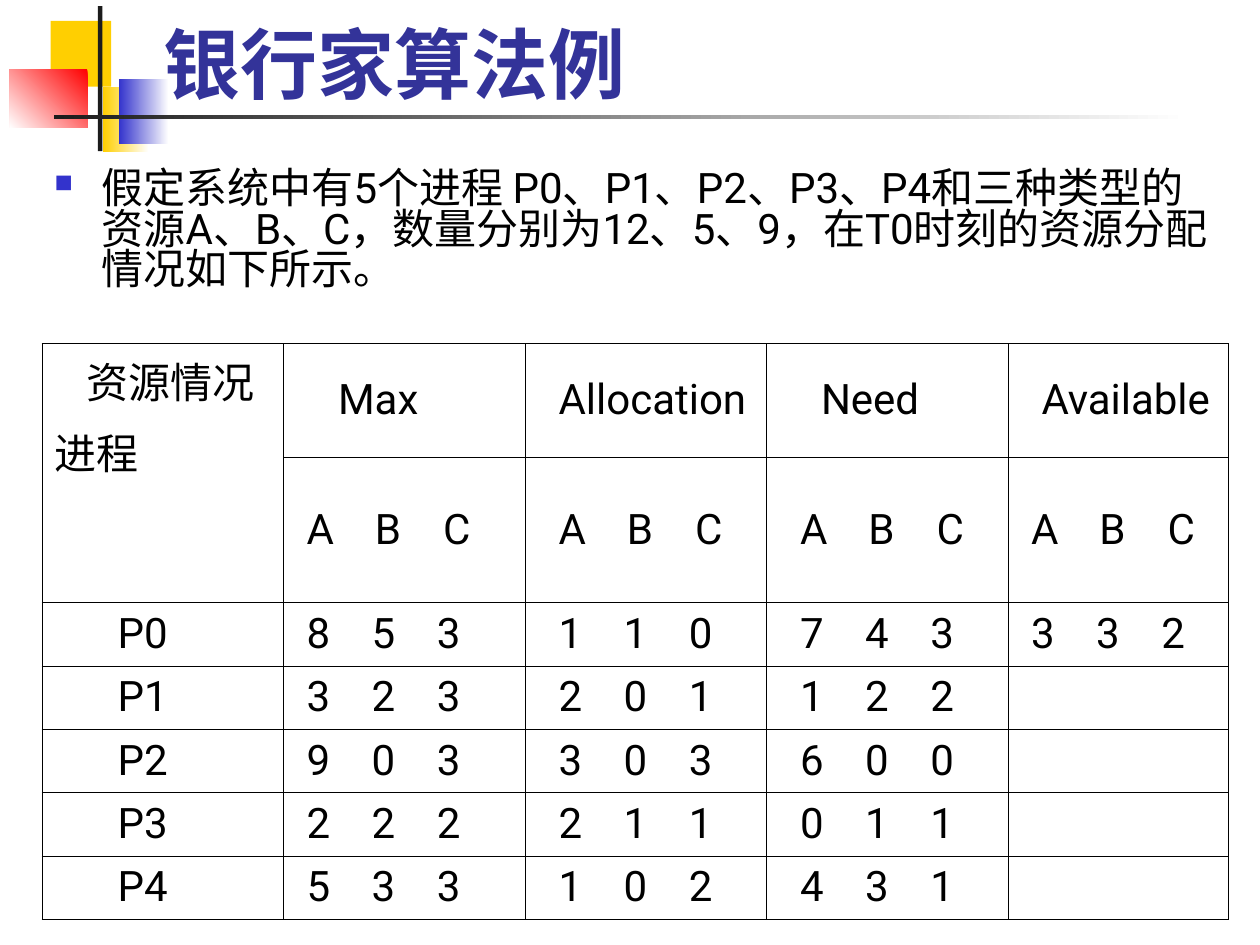
import pptx
import pptx.util
import pptx.dml.color
import pptx.enum.shapes
import pptx.enum.text
import pptx.oxml
import pptx.oxml.ns

Pt = pptx.util.Pt
Anchor = pptx.enum.text.MSO_ANCHOR
FONT = "Roboto"
NS = pptx.oxml.ns.nsdecls("a")

DECOR = [
    ((29, 12, 34.5, 37.5), ["FFCF01"], 0),
    ((59, 49.5, 26, 37.5), ["FFFFFF", "FFCF01"], 180),
    ((68, 45, 28.5, 37.5), ["FFFFFF", "3333CC"], 180),
    ((5.5, 39.5, 44.5, 33.5), ["FF0000", "FFFFFF"], 225),
    ((56, 3.5, 2.5, 83), ["1C1C1C"], 0),
    ((31, 65.5, 648, 2.5), ["FFFFFF", "1C1C1C"], 180),
]
INTRO = ("假定系统中有5个进程 P0、P1、P2、P3、P4和三种类型的资源A、B、C，"
         "数量分别为12、5、9，在T0时刻的资源分配情况如下所示。")
HEADS = ["Max", "Allocation", "Need", "Available"]
ROWS = [
    ["P0", "853", "110", "743", "332"],
    ["P1", "323", "201", "122", ""],
    ["P2", "903", "303", "600", ""],
    ["P3", "222", "211", "011", ""],
    ["P4", "533", "102", "431", ""],
]
WIDTHS = [138, 138, 138, 138, 126]
HIGHS = [65, 83] + [36.2] * 5
HEADPAD = [24, 12, 24, 12]
DATAPAD = [36, 6, 12, 12, 6]


def color(code):
    return pptx.dml.color.RGBColor.from_string(code)


def apply(item, form):
    for key, value in form.items():
        setattr(item, key, value)


def add_xml(node, text):
    node.append(pptx.oxml.parse_xml(text))


def write(para, text, size, code="000000", bold=False):
    run = para.add_run()
    run.text = text
    apply(run.font, {"size": Pt(size), "name": FONT, "bold": bold})
    run.font.color.rgb = color(code)


def draw_block(slide, box, codes, angle):
    kind = pptx.enum.shapes.MSO_SHAPE.RECTANGLE
    shape = slide.shapes.add_shape(kind, *map(Pt, box))
    shape.shadow.inherit = False
    shape.line.fill.background()
    if len(codes) == 1:
        shape.fill.solid()
        shape.fill.fore_color.rgb = color(codes[0])
        return
    shape.fill.gradient()
    shape.fill.gradient_angle = angle
    for stop, code in zip(shape.fill.gradient_stops, codes):
        stop.color.rgb = color(code)


def set_title(slide, text):
    title = slide.shapes.title
    apply(title, {"left": Pt(86.5), "top": Pt(12), "width": Pt(613), "height": Pt(54)})
    apply(title.text_frame, {"vertical_anchor": Anchor.BOTTOM, "word_wrap": True,
                             "auto_size": pptx.enum.text.MSO_AUTO_SIZE.NONE})
    para = title.text_frame.paragraphs[0]
    para.alignment = pptx.enum.text.PP_ALIGN.LEFT
    write(para, text, 44, "333399", True)


def add_intro(slide):
    box = slide.shapes.add_textbox(Pt(24), Pt(94.5), Pt(681), Pt(84))
    box.text_frame.word_wrap = True
    para = box.text_frame.paragraphs[0]
    para.line_spacing = 0.8
    prop = para._p.get_or_add_pPr()
    prop.set("marL", str(Pt(27)))
    prop.set("indent", str(-Pt(27)))
    add_xml(prop, f'<a:buClr {NS}><a:srgbClr val="3333CC"/></a:buClr>')
    add_xml(prop, f'<a:buSzPct {NS} val="60000"/>')
    add_xml(prop, f'<a:buChar {NS} char="■"/>')
    write(para, INTRO, 24)


def set_edges(cell):
    prop = cell._tc.get_or_add_tcPr()
    for side in "LRTB":
        add_xml(prop, f'<a:ln{side} {NS} w="{Pt(0.45)}"><a:solidFill>'
                      f'<a:srgbClr val="000000"/></a:solidFill></a:ln{side}>')
    cell.fill.background()


def fill_cell(cell, text, pad):
    apply(cell, {"margin_left": Pt(7.2 + pad), "vertical_anchor": Anchor.MIDDLE})
    write(cell.text_frame.paragraphs[0], text, 24)


def fill_trio(cell, trio, pad, step):
    prop = cell.text_frame.paragraphs[0]._p.get_or_add_pPr()
    stops = "".join(f'<a:tab pos="{Pt(step * n)}" algn="l"/>' for n in (1, 2))
    add_xml(prop, f"<a:tabLst {NS}>{stops}</a:tabLst>")
    fill_cell(cell, "\t".join(trio), pad)


def fill_corner(table):
    cell = table.cell(0, 0)
    cell.merge(table.cell(1, 0))
    cell.vertical_anchor = Anchor.TOP
    first = cell.text_frame.paragraphs[0]
    first._p.get_or_add_pPr().set("marL", str(Pt(18)))
    write(first, "资源情况", 24)
    last = cell.text_frame.add_paragraph()
    last.space_before = Pt(6)
    write(last, "进程", 24)


def add_grid(slide):
    frame = slide.shapes.add_table(len(HIGHS), len(WIDTHS), Pt(24), Pt(196.3),
                                   Pt(sum(WIDTHS)), Pt(sum(HIGHS)))
    table = frame.table
    apply(table, {"first_row": False, "horz_banding": False})
    for col, width in zip(table.columns, WIDTHS):
        col.width = Pt(width)
    for row, high in zip(table.rows, HIGHS):
        row.height = Pt(high)
    for cell in table.iter_cells():
        set_edges(cell)
    fill_corner(table)
    for col, head in enumerate(HEADS, 1):
        fill_cell(table.cell(0, col), head, HEADPAD[col - 1])
        fill_trio(table.cell(1, col), "ABC", DATAPAD[col], 39)
    for row, (name, *trios) in enumerate(ROWS, 2):
        fill_cell(table.cell(row, 0), name, DATAPAD[0])
        for col, trio in enumerate(trios, 1):
            if trio:
                fill_trio(table.cell(row, col), trio, DATAPAD[col], 37.25)


def main():
    deck = pptx.Presentation()
    apply(deck, {"slide_width": Pt(720), "slide_height": Pt(540)})
    slide = deck.slides.add_slide(deck.slide_layouts[5])
    for box, codes, angle in DECOR:
        draw_block(slide, box, codes, angle)
    set_title(slide, "银行家算法例")
    slide.shapes._spTree.append(slide.shapes.title._element)
    add_intro(slide)
    add_grid(slide)
    deck.save("out.pptx")


if __name__ == "__main__":
    main()
